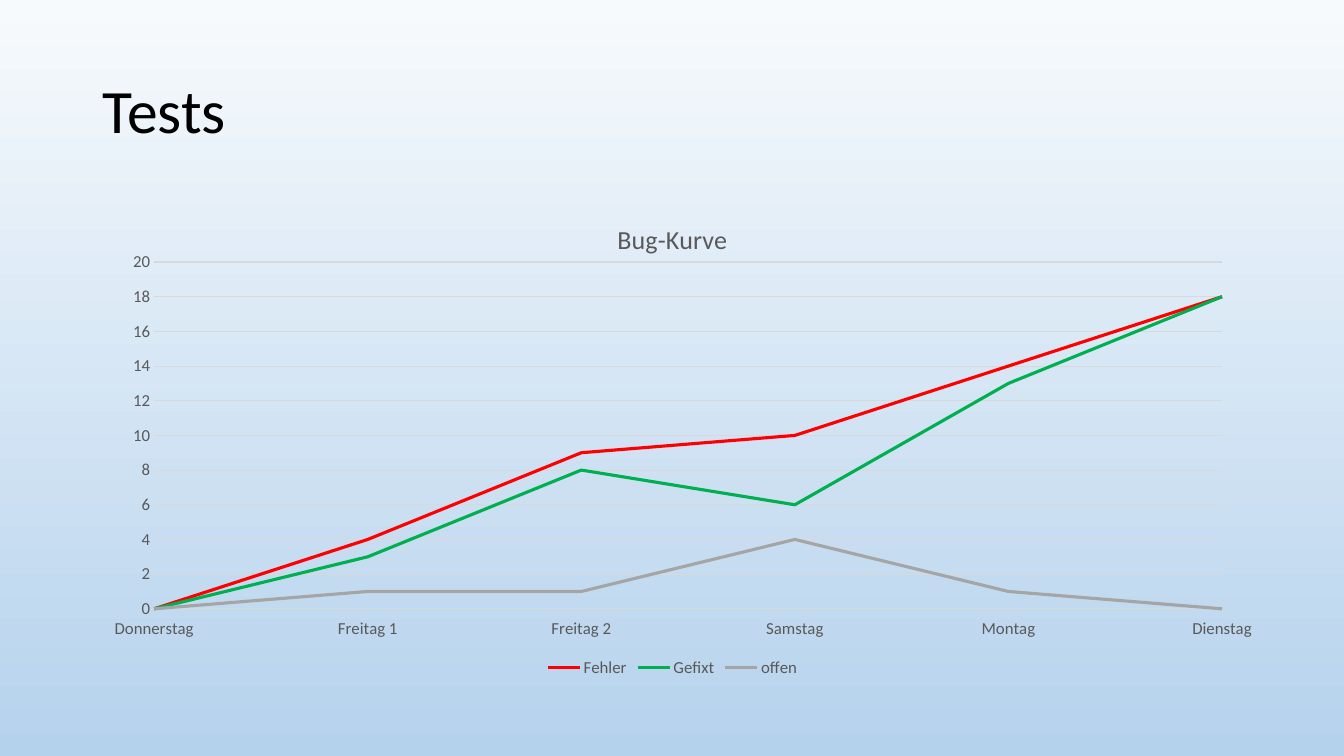
from lxml.etree import SubElement
from pptx import Presentation
from pptx.chart.data import CategoryChartData
from pptx.dml.color import RGBColor
from pptx.enum.chart import XL_CHART_TYPE, XL_LEGEND_POSITION, XL_TICK_MARK, XL_TICK_LABEL_POSITION
from pptx.enum.text import MSO_ANCHOR
from pptx.oxml.ns import qn
from pptx.util import Inches, Pt

TITLE = "Tests"
CHART_TITLE = "Bug-Kurve"
DAYS = ["Donnerstag", "Freitag 1", "Freitag 2", "Samstag", "Montag", "Dienstag"]
SERIES = [
    ("Fehler", "red", (0, 4, 9, 10, 14, 18)),
    ("Gefixt", "green", (0, 3, 8, 6, 13, 18)),
    ("offen", "gray", (0, 1, 1, 4, 1, 0)),
]
COLORS = {
    "sky_top": "F7FAFD", "sky_bottom": "B5D2EC", "black": "000000", "label": "595959",
    "grid": "D9D9D9", "red": "FF0000", "green": "00B050", "gray": "A5A5A5",
}
FONT = "Calibri"
LEFT, WIDTH = 0.92, 11.5
PLOT_AREA = {"x": 0.053, "y": 0.126, "w": 0.921, "h": 0.723}


def color(name):
    return RGBColor.from_string(COLORS[name])


def style_font(font, size, color_name):
    font.name = FONT
    font.size = Pt(size)
    font.bold = False
    font.color.rgb = color(color_name)


def style_line(line, color_name, width):
    line.color.rgb = color(color_name)
    line.width = Pt(width)


def paint_background(page):
    fill = page.background.fill
    fill.gradient()
    fill.gradient_angle = 270
    for stop, name in zip(fill.gradient_stops, ("sky_top", "sky_bottom")):
        stop.color.rgb = color(name)


def add_title(page):
    box = page.shapes.add_textbox(Inches(LEFT), Inches(0.4), Inches(WIDTH), Inches(1.45))
    frame = box.text_frame
    frame.word_wrap = True
    frame.vertical_anchor = MSO_ANCHOR.MIDDLE
    para = frame.paragraphs[0]
    para.text = TITLE
    para.line_spacing = 0.9
    style_font(para.font, 44, "black")


def place_plot(chart):
    plot_area = chart.plots[0]._element.getparent()
    layout = plot_area.find(qn("c:layout"))
    if layout is None:
        layout = SubElement(plot_area, qn("c:layout"))
        plot_area.insert(0, layout)
    manual = SubElement(layout, qn("c:manualLayout"))
    settings = {"layoutTarget": "inner", "xMode": "edge", "yMode": "edge", **PLOT_AREA}
    for tag, value in settings.items():
        SubElement(manual, qn(f"c:{tag}")).set("val", str(value))


def start_lines_on_axis(axis):
    element = axis._element
    crossing = SubElement(element, qn("c:crossBetween"))
    crossing.set("val", "midCat")
    element.find(qn("c:crosses")).addnext(crossing)


def add_bug_chart(page):
    data = CategoryChartData()
    data.categories = DAYS
    for name, _, values in SERIES:
        data.add_series(name, values)
    chart = page.shapes.add_chart(
        XL_CHART_TYPE.LINE, Inches(LEFT), Inches(2), Inches(WIDTH), Inches(4.76), data
    ).chart
    style_font(chart.font, 12, "label")
    title = chart.chart_title
    title.include_in_layout = False
    para = title.text_frame.paragraphs[0]
    para.text = CHART_TITLE
    style_font(para.font, 18.6, "label")

    chart.has_legend = True
    chart.legend.position = XL_LEGEND_POSITION.BOTTOM
    chart.legend.include_in_layout = False
    style_font(chart.legend.font, 12, "label")

    days, counts = chart.category_axis, chart.value_axis
    for axis in (days, counts):
        axis.major_tick_mark = axis.minor_tick_mark = XL_TICK_MARK.NONE
        style_font(axis.tick_labels.font, 12, "label")
    days.tick_label_position = XL_TICK_LABEL_POSITION.LOW
    style_line(days.format.line, "grid", 0.75)
    counts.minimum_scale, counts.maximum_scale, counts.major_unit = 0, 20, 2
    counts.format.line.fill.background()
    style_line(counts.major_gridlines.format.line, "grid", 0.75)
    start_lines_on_axis(counts)

    chart.plots[0].vary_by_categories = False
    for series, (_, color_name, _) in zip(chart.series, SERIES):
        series.smooth = False
        style_line(series.format.line, color_name, 2.25)
    place_plot(chart)


def main():
    deck = Presentation()
    deck.slide_width, deck.slide_height = Inches(13.33), Inches(7.5)
    page = deck.slides.add_slide(deck.slide_layouts[6])
    paint_background(page)
    add_title(page)
    add_bug_chart(page)
    deck.save("out.pptx")


if __name__ == "__main__":
    main()
